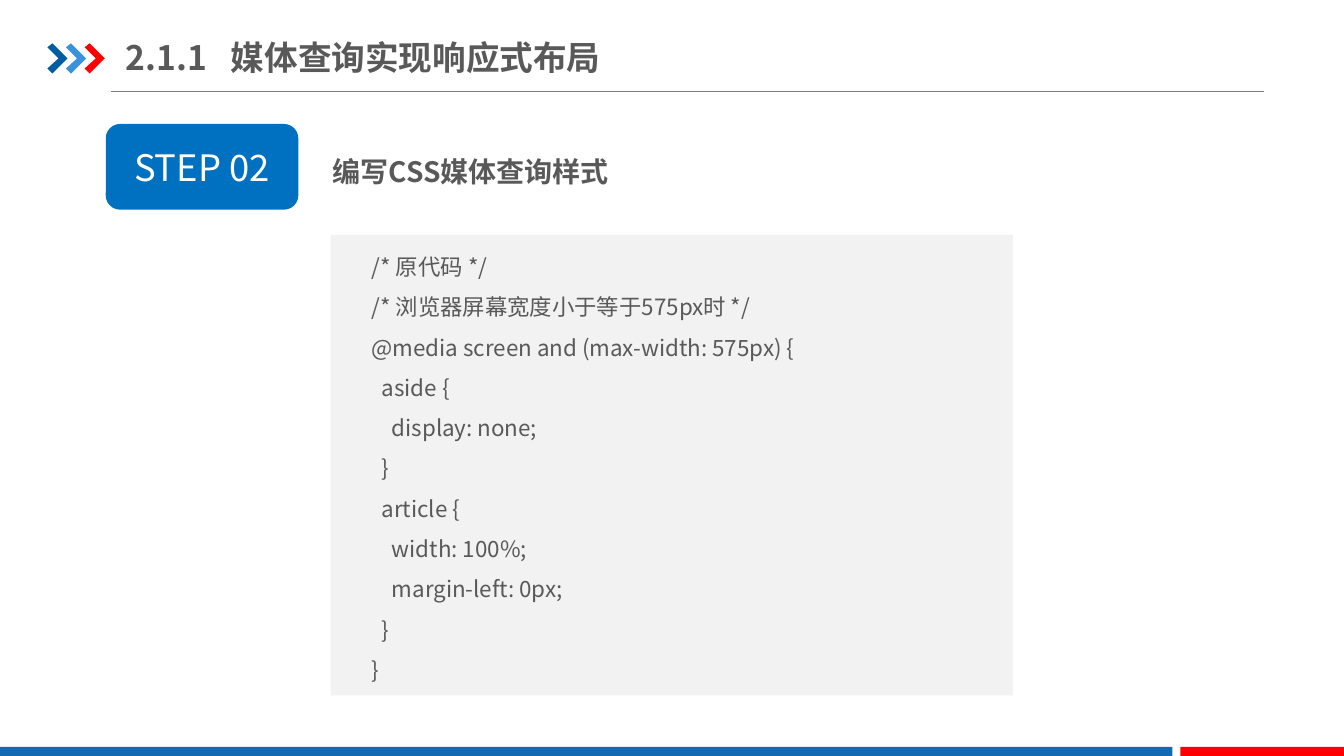
from lxml import etree
from pptx import Presentation
from pptx.dml.color import RGBColor
from pptx.enum.shapes import MSO_CONNECTOR, MSO_SHAPE
from pptx.enum.text import MSO_ANCHOR, MSO_AUTO_SIZE, PP_ALIGN
from pptx.oxml.ns import qn
from pptx.util import Inches, Pt

RECTANGLE = MSO_SHAPE.RECTANGLE
ROUNDED = MSO_SHAPE.ROUNDED_RECTANGLE
STRAIGHT = MSO_CONNECTOR.STRAIGHT
TOP, MIDDLE = MSO_ANCHOR.TOP, MSO_ANCHOR.MIDDLE
LEFT, CENTER = PP_ALIGN.LEFT, PP_ALIGN.CENTER
FIT_SHAPE = MSO_AUTO_SIZE.SHAPE_TO_FIT_TEXT

CHEVRON_PITCH = 2.22
CHEVRON_OUTLINE = [(5.64, 5.64), (6.24, 5.16), (8.04, 6.96),
                   (6.24, 8.76), (5.64, 8.16), (6.96, 6.96)]
CODE = """/* 原代码 */
/* 浏览器屏幕宽度小于等于575px时 */
@media screen and (max-width: 575px) {
  aside {
    display: none;
  }
  article {
    width: 100%;
    margin-left: 0px;
  }
}"""


def color(value):
    return RGBColor.from_string(value)


class SlideBuilder:
    """Places elements on a grid of 160 columns and 90 rows."""

    font_name = "Noto Sans CJK SC"
    gray = "595959"

    def __init__(self, presentation):
        self.slide = presentation.slides.add_slide(presentation.slide_layouts[6])
        self.column = presentation.slide_width / 160
        self.row = presentation.slide_height / 90

    def grid(self, columns, rows):
        return round(columns * self.column), round(rows * self.row)

    def paint(self, shape, fill):
        shape.shadow.inherit = False
        shape.fill.solid()
        shape.fill.fore_color.rgb = color(fill)
        shape.line.fill.background()

    def block(self, kind, left, top, width, height, fill):
        shape = self.slide.shapes.add_shape(
            kind, *self.grid(left, top), *self.grid(width, height))
        self.paint(shape, fill)
        return shape

    def outline(self, points, fill):
        start, *others = [self.grid(*point) for point in points]
        builder = self.slide.shapes.build_freeform(*start)
        builder.add_line_segments(others, close=True)
        self.paint(builder.convert_to_shape(), fill)

    def rule(self, left, right, row, line_color, width):
        line = self.slide.shapes.add_connector(
            STRAIGHT, *self.grid(left, row), *self.grid(right, row))
        line.line.color.rgb = color(line_color)
        line.line.width = Pt(width)
        etree.SubElement(line._element.spPr, qn("a:effectLst"))

    def set_text(self, frame, text, size, text_color=gray, bold=False,
                 spacing=1.0, align=LEFT, anchor=TOP, tab=None):
        frame.word_wrap = True
        frame.vertical_anchor = anchor
        for index, line in enumerate(text.split("\n")):
            paragraph = frame.add_paragraph() if index else frame.paragraphs[0]
            paragraph.add_run().text = line
            paragraph.alignment = align
            paragraph.line_spacing = spacing
            properties = paragraph._p.get_or_add_pPr()
            if tab:
                tabs = etree.SubElement(properties, qn("a:tabLst"))
                etree.SubElement(tabs, qn("a:tab"), pos=str(Inches(tab)), algn="l")
            font = paragraph.font
            font.size, font.bold, font.name = Pt(size), bold, self.font_name
            font.color.rgb = color(text_color)
            # East Asian characters need their own typeface entry
            etree.SubElement(properties.find(qn("a:defRPr")), qn("a:ea"),
                             typeface=self.font_name)

    def text(self, left, top, width, height, text, size, **style):
        box = self.slide.shapes.add_textbox(
            *self.grid(left, top), *self.grid(width, height))
        self.set_text(box.text_frame, text, size, **style)
        return box.text_frame


def main():
    presentation = Presentation()
    presentation.slide_width = Inches(13.33)
    presentation.slide_height = Inches(7.5)
    builder = SlideBuilder(presentation)

    # Header rule and chevrons
    builder.rule(13.2, 150.48, 10.92, "808080", 0.75)
    for index, fill in enumerate(["005DA2", "3992DB", "FF0000"]):
        shift = index * CHEVRON_PITCH
        builder.outline([(x + shift, y) for x, y in CHEVRON_OUTLINE], fill)

    # Footer bars
    builder.block(RECTANGLE, 0, 88.92, 139.56, 1.08, "1369B2")
    builder.block(RECTANGLE, 140.52, 88.92, 19.48, 1.08, "FF0000")

    # Step badge
    badge = builder.block(ROUNDED, 12.6, 14.76, 22.92, 10.2, "0070C0")
    builder.set_text(badge.text_frame, "STEP 02", 26, text_color="FFFFFF",
                     align=CENTER, anchor=MIDDLE)

    # Title
    title = builder.text(15, 3.48, 72.6, 6.6, "2.1.1\t媒体查询实现响应式布局", 24,
                         bold=True, anchor=MIDDLE, tab=1.04)
    title.margin_left = title.margin_right = 0
    title.margin_top = title.margin_bottom = Inches(0.07)

    # Code panel
    builder.block(RECTANGLE, 39.36, 27.96, 81.24, 54.84, "F2F2F2")
    code = builder.text(43.08, 27.96, 78.48, 54.48, CODE, 16, spacing=1.5)
    code.auto_size = FIT_SHAPE

    # Step heading
    heading = builder.text(38.4, 15.84, 98.4, 6.6, "编写CSS媒体查询样式", 20,
                           bold=True, spacing=1.5)
    heading.auto_size = FIT_SHAPE

    presentation.save("out.pptx")


if __name__ == "__main__":
    main()
